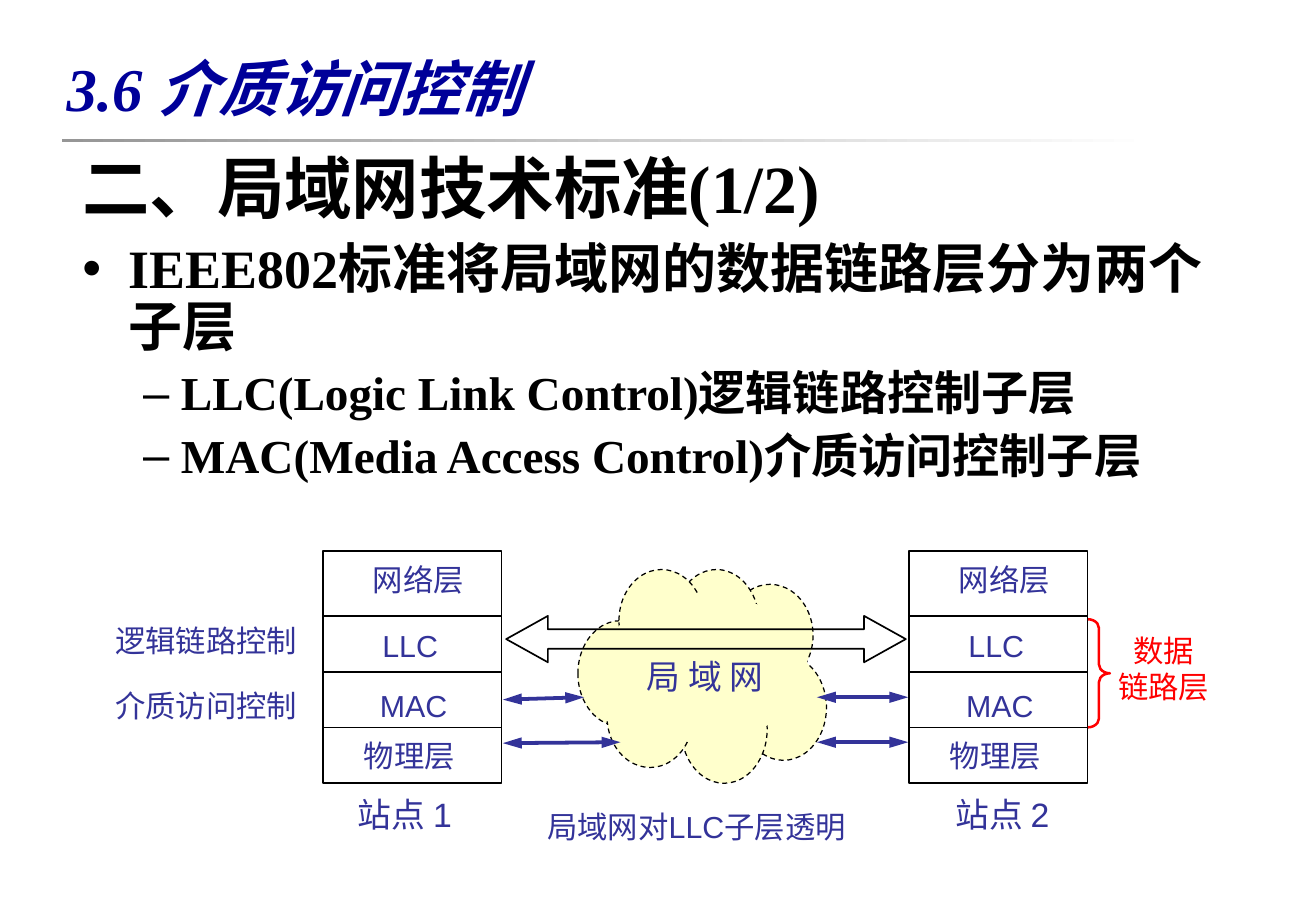
from dataclasses import dataclass

from lxml import etree
from pptx import Presentation
from pptx import util as u
from pptx.dml.color import RGBColor
from pptx.enum import dml, shapes, text
from pptx.oxml import ns

BLACK = RGBColor(0x00, 0x00, 0x00)
WHITE = RGBColor(0xFF, 0xFF, 0xFF)
GREY = RGBColor(0x96, 0x96, 0x96)
NAVY = RGBColor(0x00, 0x00, 0x99)
INDIGO = RGBColor(0x33, 0x33, 0x99)
RED = RGBColor(0xFF, 0x00, 0x00)
CREAM = RGBColor(0xFF, 0xFF, 0xCC)
SERIF, SANS = "Times New Roman", "Arial"


@dataclass
class Box:
    left: float
    top: float
    width: float
    height: float

    def lengths(self):
        return [u.Cm(value) for value in (self.left, self.top, self.width, self.height)]


@dataclass
class Label:
    words: str
    box: Box
    size: int = 18
    color: RGBColor = INDIGO
    inset: float = 0.13
    wrap: bool = False
    align: text.PP_ALIGN = text.PP_ALIGN.LEFT


@dataclass
class Item:
    words: str
    size: int
    before: int
    level: int = 0
    margin: float = 0.97
    hanging: float = 0.97
    bullet: str = ""


@dataclass
class Station:
    left: float
    name: Label


@dataclass
class Link:
    start: tuple[float, float]
    end: tuple[float, float]


ITEMS = [
    Item("二、局域网技术标准(1/2)", 40, 0),
    Item("IEEE802标准将局域网的数据链路层分为两个子层", 32, 8, bullet="•"),
    Item("LLC(Logic Link Control)逻辑链路控制子层", 28, 7, 1, 2.06, 0.79, "–"),
    Item("MAC(Media Access Control)介质访问控制子层", 28, 7, 1, 2.06, 0.79, "–"),
]
CLOUD_PUFFS = [
    Box(15.49, 13.69, 1.8, 2.21), Box(12.09, 12.98, 1.78, 2.21),
    Box(15.21, 12.22, 1.8, 2.13), Box(14.25, 14.12, 1.8, 2.26),
    Box(12.7, 13.92, 1.8, 2.13), Box(14.1, 11.91, 1.78, 2.21),
    Box(12.95, 11.91, 1.78, 2.13),
]
CLOUD_CORE = Box(12.57, 12.42, 4.32, 3.07)
CLOUD_PATCH = [(12.73, 14.48), (12.83, 14.58), (12.75, 15.06), (12.7, 15.09),
               (12.62, 15.04), (12.67, 14.83), (12.65, 14.6)]
LINKS = [
    Link((10.52, 15.54), (12.98, 15.52)), Link((19, 15.52), (17.09, 15.52)),
    Link((10.52, 14.63), (12.22, 14.58)), Link((19, 14.58), (17.09, 14.58)),
]
LAYERS = [
    Label("网络层", Box(0.79, 11.71, 2.41, 0.81), inset=0.03),
    Label("LLC", Box(0.99, 13.08, 2.01, 0.81), inset=0.03, wrap=True),
    Label("MAC", Box(0.94, 14.25, 2.08, 1.02), wrap=True),
    Label("物理层", Box(0.6, 15.39, 2.57, 0.81), inset=0.03, wrap=True),
]
DIVIDERS = [12.88, 14.05, 15.21]
STATIONS = [
    Station(6.76, Label("站点 1", Box(7.24, 16.46, 2.84, 1.09), 20)),
    Station(19.02, Label("站点 2", Box(19.74, 16.46, 2.84, 1.09), 20)),
]
STATION_TOP, STATION_WIDTH, STATION_HEIGHT = 11.53, 3.73, 4.85
LABELS = [
    Label("局 域 网", Box(13.28, 13.59, 3.33, 1.09), 20),
    Label("逻辑链路控制", Box(2.16, 12.88, 4.32, 1.02)),
    Label("介质访问控制", Box(2.16, 14.25, 4.32, 1.02)),
    Label("数据\n链路层", Box(23.14, 13.08, 2.41, 1.78), color=RED,
          align=text.PP_ALIGN.CENTER),
    Label("局域网对LLC子层透明", Box(11.2, 16.76, 7.06, 1.02)),
]


def format_runs(paragraph, name: str, size: int, color: RGBColor,
                bold: bool = False, italic: bool = False) -> None:
    for run in paragraph.runs:
        run.font.name, run.font.size = name, u.Pt(size)
        run.font.bold, run.font.italic = bold, italic
        run.font.color.rgb = color


def place(shape, box: Box) -> None:
    shape.left, shape.top, shape.width, shape.height = box.lengths()


def add_shape(slide, kind, box: Box, fill: RGBColor | None = None,
              line: RGBColor | None = None, weight: float = 1):
    shape = slide.shapes.add_shape(kind, *box.lengths())
    paint(shape, fill, line, weight)
    return shape


def paint(shape, fill: RGBColor | None, line: RGBColor | None, weight: float = 1) -> None:
    shape.shadow.inherit = False
    if fill is None:
        shape.fill.background()
    else:
        shape.fill.solid()
        shape.fill.fore_color.rgb = fill
    if line is None:
        shape.line.fill.background()
    else:
        shape.line.color.rgb = line
        shape.line.width = u.Pt(weight)


def add_line(slide, link: Link, color: RGBColor, weight: float, arrows: bool = False) -> None:
    ends = [u.Cm(value) for value in (*link.start, *link.end)]
    connector = slide.shapes.add_connector(shapes.MSO_CONNECTOR.STRAIGHT, *ends)
    connector.line.color.rgb = color
    connector.line.width = u.Pt(weight)
    if arrows:
        outline = connector.line._get_or_add_ln()
        for end in ("a:headEnd", "a:tailEnd"):
            etree.SubElement(outline, ns.qn(end), type="triangle", w="med", len="lg")
    etree.SubElement(connector._element.spPr, ns.qn("a:effectLst"))


def add_label(slide, label: Label) -> None:
    frame = slide.shapes.add_textbox(*label.box.lengths()).text_frame
    frame.margin_left = frame.margin_right = u.Cm(0.25)
    frame.margin_top = frame.margin_bottom = u.Cm(label.inset)
    frame.word_wrap = label.wrap
    frame.auto_size = text.MSO_AUTO_SIZE.SHAPE_TO_FIT_TEXT
    frame.text = label.words
    for paragraph in frame.paragraphs:
        paragraph.alignment = label.align
        format_runs(paragraph, SANS, label.size, label.color)


def add_headings(slide) -> None:
    title, body = slide.placeholders
    place(title, Box(1.14, 0.71, 24.99, 2.21))
    title.text_frame.text = "3.6 介质访问控制"
    title.text_frame.vertical_anchor = text.MSO_ANCHOR.MIDDLE
    heading = title.text_frame.paragraphs[0]
    heading.alignment = text.PP_ALIGN.LEFT
    format_runs(heading, SERIF, 36, NAVY, True, True)
    place(body, Box(1.47, 3.12, 25.07, 7.59))
    body.text_frame.text = "\n".join(item.words for item in ITEMS)
    for frame in (title.text_frame, body.text_frame):
        frame.auto_size = text.MSO_AUTO_SIZE.NONE
    for item, paragraph in zip(ITEMS, body.text_frame.paragraphs):
        format_item(paragraph, item)


def format_item(paragraph, item: Item) -> None:
    properties = paragraph._p.get_or_add_pPr()
    properties.set("marL", str(u.Cm(item.margin)))
    properties.set("indent", str(-u.Cm(item.hanging)))
    if item.bullet:
        color = etree.SubElement(properties, ns.qn("a:buClr"))
        etree.SubElement(color, ns.qn("a:srgbClr"), val=str(BLACK))
        etree.SubElement(properties, ns.qn("a:buChar"), char=item.bullet)
    else:
        etree.SubElement(properties, ns.qn("a:buNone"))
    paragraph.level = item.level
    paragraph.line_spacing = 0.9
    paragraph.space_before = u.Pt(item.before)
    format_runs(paragraph, SERIF, item.size, BLACK, True)


def add_title_rule(slide) -> None:
    rule = add_shape(slide, shapes.MSO_SHAPE.RECTANGLE, Box(1.3, 2.9, 22.86, 0.08))
    rule.fill.gradient()
    rule.fill.gradient_angle = 0
    for stop, color in zip(rule.fill.gradient_stops, (GREY, WHITE)):
        stop.color.rgb = color


def add_cloud(slide) -> None:
    for box in CLOUD_PUFFS:
        puff = add_shape(slide, shapes.MSO_SHAPE.OVAL, box, CREAM, BLACK, 0.75)
        puff.line.dash_style = dml.MSO_LINE.DASH
    add_shape(slide, shapes.MSO_SHAPE.OVAL, CLOUD_CORE, CREAM)
    start, *others = [(u.Cm(x), u.Cm(y)) for x, y in CLOUD_PATCH]
    builder = slide.shapes.build_freeform(*start)
    builder.add_line_segments(others)
    paint(builder.convert_to_shape(), CREAM, None)


def add_station(slide, station: Station) -> None:
    left = station.left
    add_shape(slide, shapes.MSO_SHAPE.RECTANGLE,
              Box(left, STATION_TOP, STATION_WIDTH, STATION_HEIGHT), line=BLACK)
    for y in DIVIDERS:
        add_line(slide, Link((left, y), (left + STATION_WIDTH, y)), BLACK, 1)
    for layer in LAYERS:
        box = Box(left + layer.box.left, layer.box.top, layer.box.width, layer.box.height)
        add_label(slide, Label(layer.words, box, inset=layer.inset, wrap=layer.wrap))
    add_label(slide, station.name)


def main() -> None:
    """Build the slide on the two sublayers of the data link layer."""
    presentation = Presentation()
    presentation.slide_width, presentation.slide_height = u.Cm(27.53), u.Cm(19.05)
    slide = presentation.slides.add_slide(presentation.slide_layouts[1])
    add_title_rule(slide)
    add_headings(slide)
    add_cloud(slide)
    for link in LINKS:
        add_line(slide, link, INDIGO, 2.25, True)
    arrow = add_shape(slide, shapes.MSO_SHAPE.LEFT_RIGHT_ARROW,
                      Box(10.59, 12.88, 8.36, 0.97), line=BLACK)
    arrow.adjustments[0], arrow.adjustments[1] = 0.42, 0.9
    for station in STATIONS:
        add_station(slide, station)
    brace = add_shape(slide, shapes.MSO_SHAPE.RIGHT_BRACE,
                      Box(22.76, 12.95, 0.46, 2.26), line=RED, weight=1.5)
    brace.adjustments[0] = 0.4
    for label in LABELS:
        add_label(slide, label)
    presentation.save("out.pptx")


if __name__ == "__main__":
    main()
